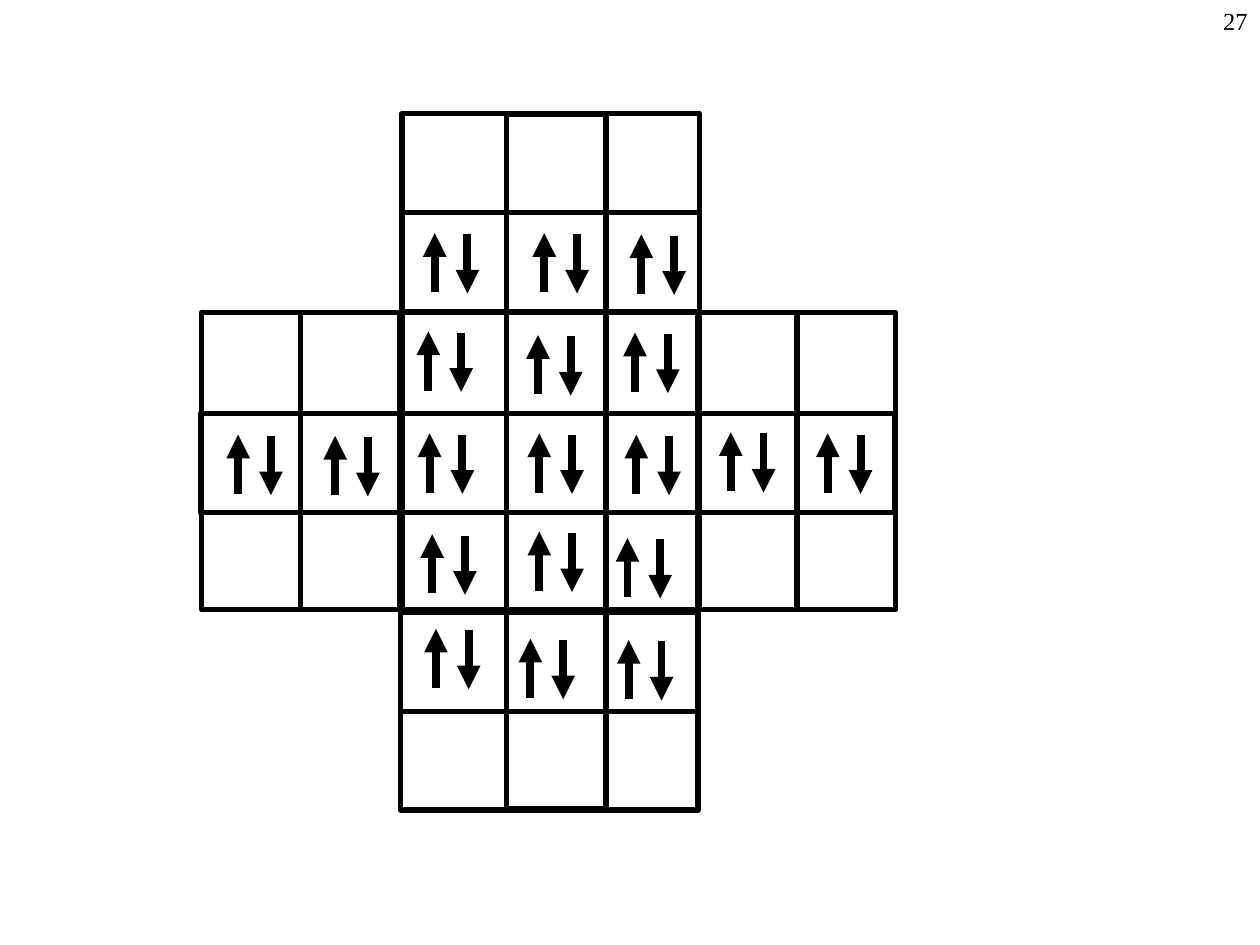
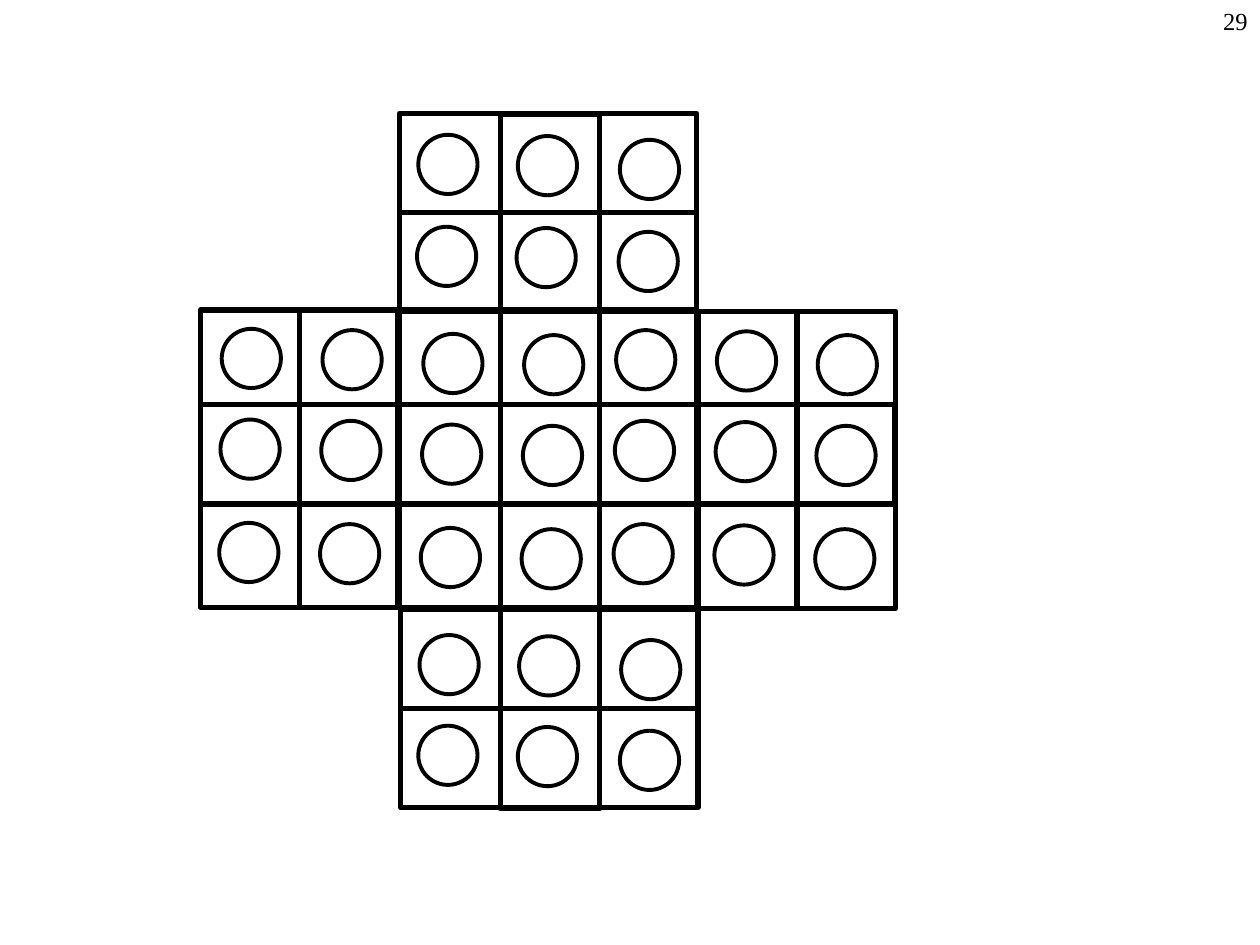
"""Build two cross-shaped board slides, one with arrow pairs and one with circles."""
from dataclasses import dataclass

from lxml import etree
from pptx import Presentation
from pptx import util as u
from pptx.dml.color import RGBColor
from pptx.enum import shapes, text
from pptx.oxml import ns

PX = 9144
SIDE, ARM, CELL, LENGTH = 236, 157, 79, 551
CIRCLE = 47
ARROW, ARROW_GAP = 47, 26
LEFT, TOP, RIGHT, BOTTOM = 1, 0, 3, 2


@dataclass(frozen=True)
class Theme:
    ink: RGBColor = RGBColor(0, 0, 0)
    font: str = "Times New Roman"
    number: u.Pt = u.Pt(14)
    grid: u.Pt = u.Pt(3)
    ring: u.Pt = u.Pt(2.25)
    arrow: u.Pt = u.Pt(4.5)


def put(target, values):
    for name, value in values.items():
        setattr(target, name, value)


class Board:
    def __init__(self, prs, theme):
        self.prs, self.theme, self.slide = prs, theme, None

    def new(self, number):
        t = self.theme
        self.slide = self.prs.slides.add_slide(self.prs.slide_layouts[6])
        sp = self.slide.shapes.add_textbox(*(n * PX for n in (792, 0, 208, 50)))
        tf = sp.text_frame
        tf.word_wrap = True
        p = tf.paragraphs[0]
        p.alignment = text.PP_ALIGN.RIGHT
        r = p.add_run()
        r.text = number
        put(r.font, {"name": t.font, "size": t.number})
        r.font.color.rgb = t.ink

    def outline(self, kind, box, width):
        sp = self.slide.shapes.add_shape(kind, *(n * PX for n in box))
        sp.shadow.inherit = False
        sp.fill.background()
        sp.line.color.rgb = self.theme.ink
        sp.line.width = width
        return sp

    def rect(self, *box):
        return self.outline(shapes.MSO_SHAPE.RECTANGLE, box, self.theme.grid)

    def circle(self, x, y):
        self.outline(shapes.MSO_SHAPE.OVAL, (x, y, CIRCLE, CIRCLE), self.theme.ring)

    def line(self, x1, y1, x2, y2, width):
        sp = self.slide.shapes.add_connector(
            shapes.MSO_CONNECTOR.STRAIGHT, *(n * PX for n in (x1, y1, x2, y2)))
        sp.line.color.rgb = self.theme.ink
        sp.line.width = width
        etree.SubElement(sp._element.spPr, ns.qn("a:effectLst"))
        return sp

    def divide(self, rect, begin, end):
        sp = self.line(0, 0, 0, 0, self.theme.grid)
        sp.begin_connect(rect, begin)
        sp.end_connect(rect, end)

    def arrow_pair(self, x, y):
        for step, end in enumerate(("a:headEnd", "a:tailEnd")):
            left, top = x + step * ARROW_GAP, y + step
            sp = self.line(left, top, left, top + ARROW, self.theme.arrow)
            etree.SubElement(sp.line._get_or_add_ln(), ns.qn(end), type="triangle")

    def cross(self, centre, column, row, top, bottom, left, right):
        self.rect(*centre, SIDE, SIDE)
        self.rect(*column, CELL, LENGTH)
        self.rect(*row, LENGTH, CELL)
        for corner in (top, bottom):
            self.divide(self.rect(*corner, SIDE, ARM), LEFT, RIGHT)
        for corner in (left, right):
            self.divide(self.rect(*corner, ARM, SIDE), TOP, BOTTOM)

    def circles(self, columns, rows):
        for shift, y in rows:
            for x, drop in columns:
                self.circle(x + shift, y + drop)


def arrow_slide(board):
    board.new("27")
    board.cross(centre=(319, 248), column=(402, 91), row=(159, 328),
                top=(319, 90), bottom=(318, 486), left=(160, 248), right=(554, 248))
    rows = (
        ((345, 185), (432, 185), (509, 186)),
        ((340, 263), (427, 266), (504, 264)),
        ((189, 345), (266, 346), (341, 344), (428, 344),
         (505, 345), (580, 343), (657, 344)),
        ((343, 424), (428, 422), (498, 427)),
        ((346, 499), (421, 507), (499, 508)),
    )
    for row in rows:
        for x, y in row:
            board.arrow_pair(x, y)


def circle_slide(board):
    board.new("29")
    board.cross(centre=(317, 246), column=(397, 91), row=(159, 321),
                top=(317, 90), bottom=(318, 484), left=(159, 246), right=(554, 247))
    arm = ((332, 0), (411, 1), (492, 4))
    middle = ((176, 0), (256, 1), (336, 4), (416, 5), (489, 1), (569, 2), (649, 5))
    board.circles(arm, ((0, 107), (-1, 180)))
    board.circles(middle, ((0, 261), (-1, 333), (-2, 415)))
    board.circles(arm, ((1, 504), (0, 576)))


def main():
    prs = Presentation()
    put(prs, {"slide_width": 1000 * PX, "slide_height": 750 * PX})
    board = Board(prs, Theme())
    arrow_slide(board)
    circle_slide(board)
    prs.save("out.pptx")


if __name__ == "__main__":
    main()
